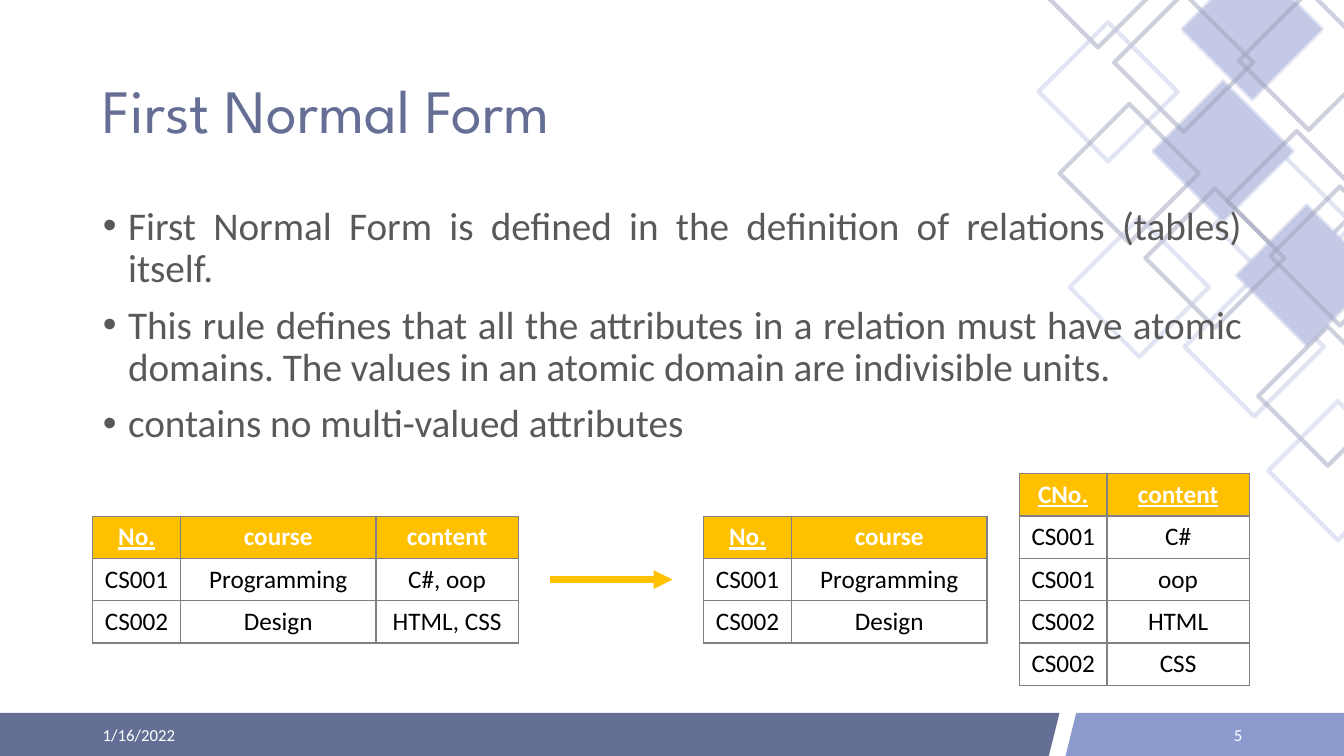
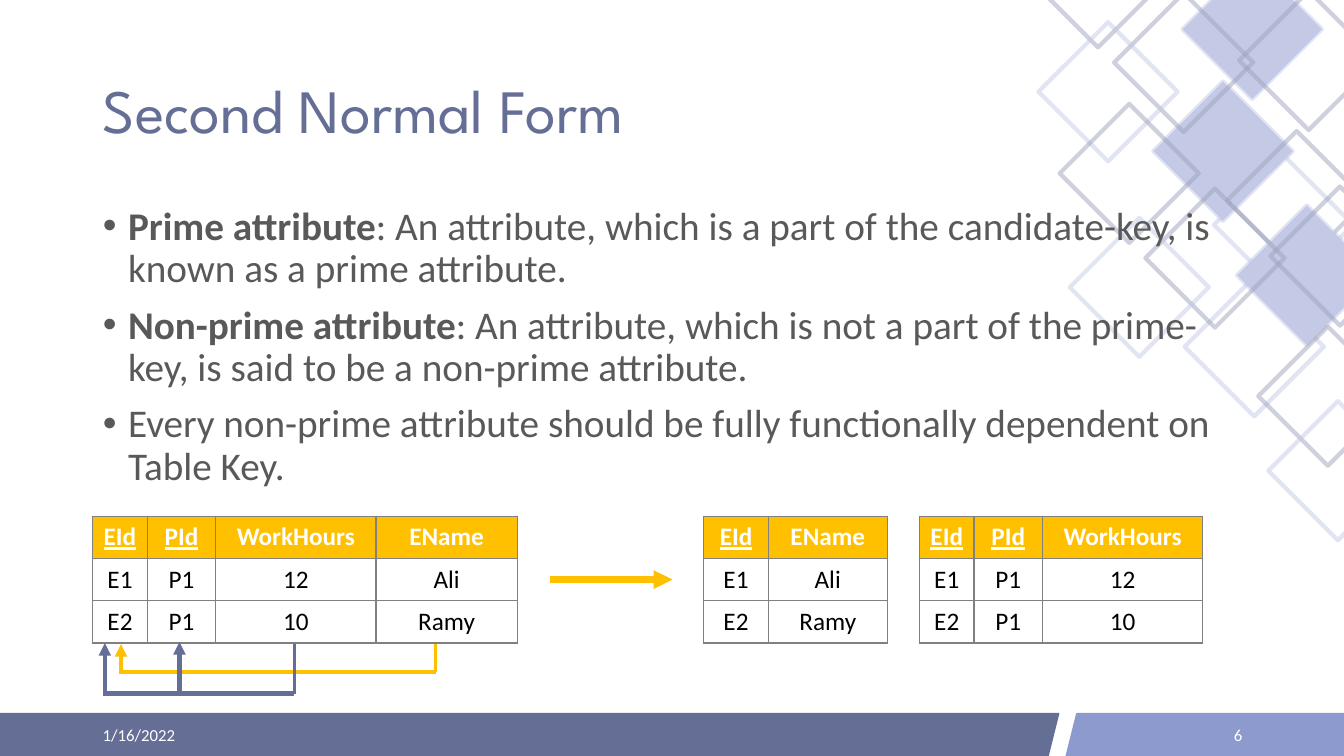
import pptx
import pptx.util
import pptx.dml.color
import pptx.enum.shapes
import pptx.enum.text
import pptx.oxml
import pptx.oxml.ns

Inches, Pt = pptx.util.Inches, pptx.util.Pt
RGB = pptx.dml.color.RGBColor.from_string
qn = pptx.oxml.ns.qn
ALIGN = pptx.enum.text.PP_ALIGN
MIDDLE = pptx.enum.text.MSO_ANCHOR.MIDDLE
SHAPE = pptx.enum.shapes.MSO_SHAPE
STRAIGHT = pptx.enum.shapes.MSO_CONNECTOR.STRAIGHT

COLOURS = {
    "indigo": "656E95", "periwinkle": "8D9ACE", "lilac": "C4CAE6", "haze": "9EA3BC",
    "amber": "FFC000", "text": "595959", "white": "FFFFFF", "black": "000000", "grid": "808080",
}
STYLES = {
    "title": {"colour": "indigo", "font": {"name": "League Spartan", "size": Pt(44)},
              "paragraph": {"alignment": ALIGN.LEFT, "line_spacing": 0.9}},
    "body": {"colour": "text", "font": {"name": "Calibri", "size": Pt(28)},
             "paragraph": {"line_spacing": 0.9, "space_before": Pt(10)}},
    "footer": {"colour": "white", "font": {"name": "Calibri", "size": Pt(12)}, "paragraph": {}},
    "header": {"colour": "white", "font": {"name": "Calibri", "size": Pt(18), "bold": True},
               "paragraph": {"alignment": ALIGN.CENTER}},
    "cell": {"colour": "black", "font": {"name": "Calibri", "size": Pt(18), "bold": False},
             "paragraph": {"alignment": ALIGN.CENTER}},
}
MARGIN, CONTENT_WIDTH = 0.92, 11.5
TABLE_TOP, ROW_HEIGHT = 5.12, 0.42
DATE = "1/16/2022"


def format_text(frame, style_name):
    """Apply a named style to every paragraph and run of a text frame."""
    style = STYLES[style_name]
    for paragraph in frame.paragraphs:
        for name, value in style["paragraph"].items():
            setattr(paragraph, name, value)
        for run in paragraph.runs:
            for name, value in style["font"].items():
                setattr(run.font, name, value)
            run.font.color.rgb = RGB(COLOURS[style["colour"]])


def add_line(slide, start, end, colour, width, arrow=False):
    """Draw a straight line between two points, with an optional arrowhead."""
    line = slide.shapes.add_connector(STRAIGHT, *map(Inches, start + end))
    line.line.color.rgb = RGB(COLOURS[colour])
    line.line.width = Pt(width)
    if arrow:
        head = pptx.oxml.ns.nsdecls("a")
        line.get_or_add_ln().append(pptx.oxml.parse_xml(f'<a:tailEnd {head} type="triangle"/>'))
    line.element.spPr.append(pptx.oxml.parse_xml(f'<a:effectLst {pptx.oxml.ns.nsdecls("a")}/>'))


# Tables: left, top, column widths, number of key columns, rows
LESSONS = [
    {
        "title": "First Normal Form", "number": "5", "alignment": ALIGN.JUSTIFY,
        "points": [
            ("", "First Normal Form is defined in the definition of relations (tables) itself. "),
            ("", "This rule defines that all the attributes in a relation must have atomic domains. "
                 "The values in an atomic domain are indivisible units."),
            ("", "contains no multi-valued attributes"),
        ],
        "tables": [
            (MARGIN, TABLE_TOP, [0.87, 1.94, 1.41], 1,
             [["No.", "course", "content"], ["CS001", "Programming", "C#, oop"],
              ["CS002", "Design", "HTML, CSS"]]),
            (10.11, TABLE_TOP - ROW_HEIGHT, [0.87, 1.41], 2,
             [["CNo.", "content"], ["CS001", "C#"], ["CS001", "oop"],
              ["CS002", "HTML"], ["CS002", "CSS"]]),
            (6.98, TABLE_TOP, [0.87, 1.94], 1,
             [["No.", "course"], ["CS001", "Programming"], ["CS002", "Design"]]),
        ],
        "dependencies": [],
    },
    {
        "title": "Second Normal Form", "number": "6", "alignment": ALIGN.LEFT,
        "points": [
            ("Prime attribute", ": An attribute, which is a part of the candidate-key, "
                                "is known as a prime attribute."),
            ("Non-prime attribute", ": An attribute, which is not a part of the prime-key, "
                                    "is said to be a non-prime attribute."),
            ("", "Every non-prime attribute should be fully functionally dependent on Table Key."),
        ],
        "tables": [
            (MARGIN, TABLE_TOP, [0.54, 0.68, 1.59, 1.4], 2,
             [["EId", "PId", "WorkHours", "EName"], ["E1", "P1", "12", "Ali"],
              ["E2", "P1", "10", "Ramy"]]),
            (6.98, TABLE_TOP, [0.64, 1.18], 1,
             [["EId", "EName"], ["E1", "Ali"], ["E2", "Ramy"]]),
            (9.12, TABLE_TOP, [0.54, 0.68, 1.59], 2,
             [["EId", "PId", "WorkHours"], ["E1", "P1", "12"], ["E2", "P1", "10"]]),
        ],
        "dependencies": [
            ((1.2, 6.69), (1.2, 6.39), "amber", 3, True),
            ((1.18, 6.67), (4.32, 6.67), "amber", 3),
            ((4.32, 6.67), (4.32, 6.39), "amber", 2.25),
            ((2.92, 6.89), (2.92, 6.39), "indigo", 2.25),
            ((1.04, 6.88), (1.04, 6.38), "indigo", 3, True),
            ((1.78, 6.87), (1.78, 6.37), "indigo", 3, True),
            ((1.02, 6.88), (2.92, 6.88), "indigo", 3),
        ],
    },
]

deck = pptx.Presentation()
deck.slide_width, deck.slide_height = Inches(13.33), Inches(7.5)
layout = deck.slide_layouts[1]
slides = [deck.slides.add_slide(layout) for lesson in LESSONS]

# Shared placeholder positions and bullet indent
for placeholder, top, height in zip(layout.placeholders, (0.4, 2), (1.45, 4.91)):
    placeholder.left, placeholder.top = Inches(MARGIN), Inches(top)
    placeholder.width, placeholder.height = Inches(CONTENT_WIDTH), Inches(height)
bullet = deck.slide_master.element.find(f".//{qn('p:bodyStyle')}/{qn('a:lvl1pPr')}")
bullet.set("marL", str(Inches(0.25)))
bullet.set("indent", str(Inches(-0.25)))

# Shared decoration, drawn once and moved to the layout
decoration = []
for left, width, colour in [(-0.48, 10.98, "indigo"), (10.57, 2.94, "periwinkle")]:
    band = slides[0].shapes.add_shape(
        SHAPE.PARALLELOGRAM, Inches(left), Inches(7.08), Inches(width), Inches(0.44))
    band.fill.solid()
    band.fill.fore_color.rgb = band.line.color.rgb = RGB(COLOURS[colour])
    band.line.width = Pt(1)
    decoration.append(band)

DIAMONDS = [
    (11.73, -0.4, "lilac", True), (12.29, -0.09, "haze", False),
    (11.44, 0.81, "lilac", True), (11.05, -0.07, "haze", False),
    (12.17, 1.3, "haze", False), (12.27, 2.04, "lilac", True),
    (10.2, -0.91, "haze", False), (10.3, 0.22, "lilac", False),
]
for shift_x, shift_y, may_fill in [(0, 0, True), (0.31, 1.94, False)]:
    for left, top, colour, filled in DIAMONDS:
        diamond = slides[0].shapes.add_shape(
            SHAPE.DIAMOND, Inches(left + shift_x), Inches(top + shift_y), Inches(1.38), Inches(1.38))
        if filled and may_fill:
            diamond.fill.solid()
            diamond.fill.fore_color.rgb = RGB(COLOURS[colour])
        else:
            diamond.fill.background()
        diamond.line.color.rgb = RGB(COLOURS[colour])
        diamond.line.width = Pt(3)
        outline = diamond.get_or_add_ln().find(f".//{qn('a:srgbClr')}")
        outline.append(pptx.oxml.parse_xml(f'<a:alpha {pptx.oxml.ns.nsdecls("a")} val="50000"/>'))
        decoration.append(diamond)

for ornament in decoration:
    ornament.shadow.inherit = False
    layout.shapes.element.append(ornament.element)

for slide, lesson in zip(slides, LESSONS):
    title, body = slide.placeholders
    title.text_frame.text = lesson["title"]
    title.text_frame.vertical_anchor = MIDDLE
    format_text(title.text_frame, "title")

    points = body.text_frame
    for index, (term, statement) in enumerate(lesson["points"]):
        point = points.add_paragraph() if index else points.paragraphs[0]
        point.alignment = lesson["alignment"]
        if term:
            lead = point.add_run()
            lead.text, lead.font.bold = term, True
        point.add_run().text = statement
    format_text(points, "body")
    for frame in (title.text_frame, points):
        frame.auto_size = pptx.enum.text.MSO_AUTO_SIZE.NONE

    for left, text, alignment in [(MARGIN, DATE, ALIGN.LEFT), (9.42, lesson["number"], ALIGN.RIGHT)]:
        footer = slide.shapes.add_textbox(
            Inches(left), Inches(7.09), Inches(3), Inches(0.4)).text_frame
        footer.word_wrap, footer.vertical_anchor = True, MIDDLE
        footer.text = text
        footer.paragraphs[0].alignment = alignment
        format_text(footer, "footer")

    for left, top, widths, keys, rows in lesson["tables"]:
        relation = slide.shapes.add_table(
            len(rows), len(widths), Inches(left), Inches(top),
            Inches(sum(widths)), Inches(ROW_HEIGHT * len(rows))).table
        for column, width in zip(relation.columns, widths):
            column.width = Inches(width)
        for r, row in enumerate(rows):
            for c, text in enumerate(row):
                cell = relation.cell(r, c)
                cell.text, cell.vertical_anchor = text, MIDDLE
                format_text(cell.text_frame, "cell" if r else "header")
                for side in ("lnL", "lnR", "lnT", "lnB"):
                    cell.text_frame.paragraphs[0].runs[0].font.underline = r == 0 and c < keys
                    relation.rows[r].cells[c]._tc.get_or_add_tcPr().append(pptx.oxml.parse_xml(
                        f'<a:{side} {pptx.oxml.ns.nsdecls("a")} w="12700"><a:solidFill>'
                        f'<a:srgbClr val="{COLOURS["grid"]}"/></a:solidFill></a:{side}>'))
                if r:
                    cell.fill.background()
                else:
                    cell.fill.solid()
                    cell.fill.fore_color.rgb = RGB(COLOURS["amber"])

    add_line(slide, (5.45, 5.75), (6.67, 5.75), "amber", 4.5, arrow=True)
    for dependency in lesson["dependencies"]:
        add_line(slide, *dependency)

deck.save("out.pptx")
